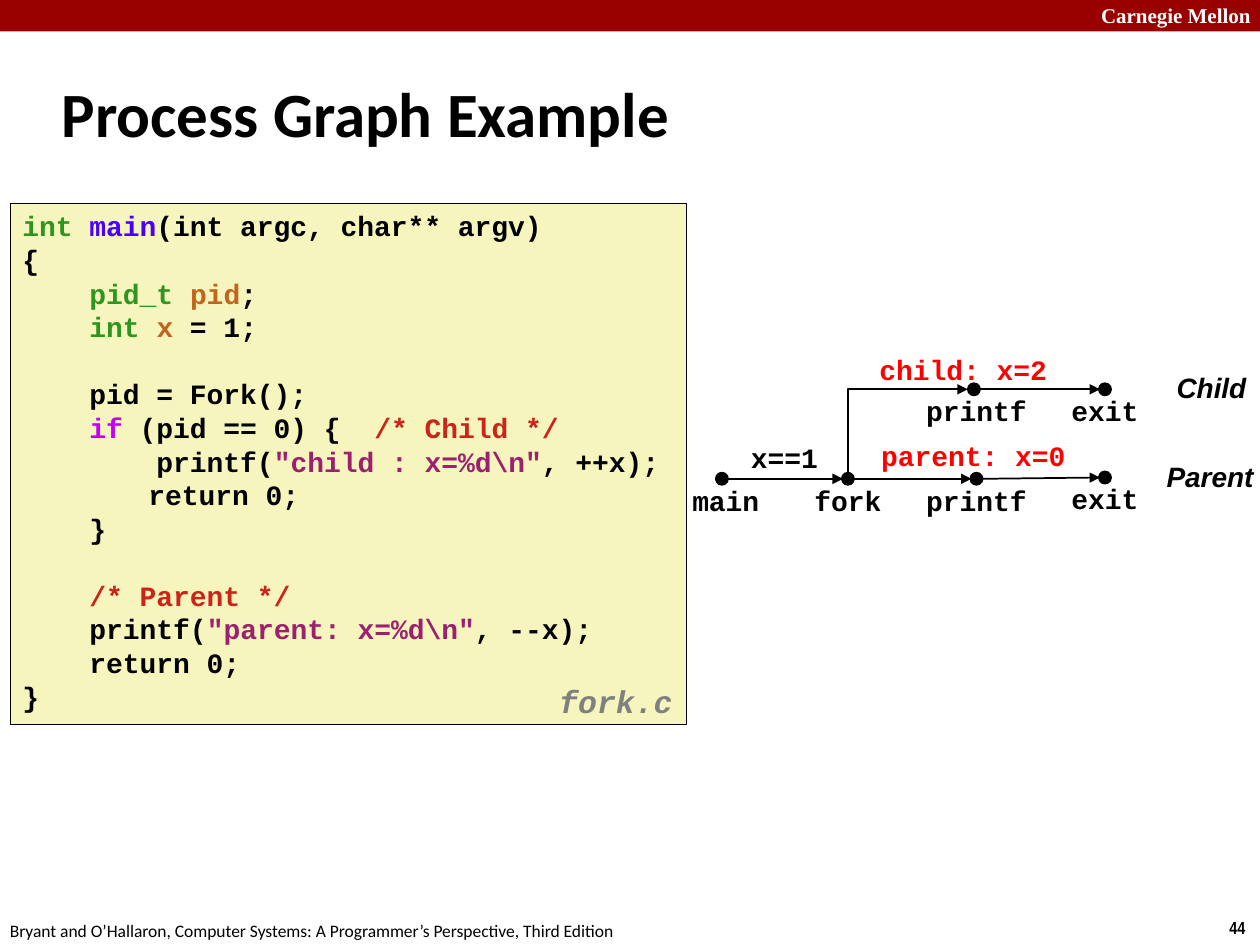
from typing import NamedTuple

from lxml.etree import SubElement
from pptx import Presentation
from pptx.dml.color import RGBColor
from pptx.enum.shapes import MSO_CONNECTOR as Link, MSO_SHAPE as Preset
from pptx.enum.text import MSO_ANCHOR as Anchor, MSO_AUTO_SIZE as Fit, PP_ALIGN as Align
from pptx.oxml.ns import qn
from pptx.util import Inches, Pt


class Theme:
    banner, paper = "990000", "F6F5BD"
    ink, light, muted, value = "000000", "FFFFFF", "808080", "FF0000"
    type_name, function, variable = "2D961E", "4A00FF", "C1651C"
    keyword, comment, string = "C200FF", "CB2418", "9D206F"
    title_size, file_size, code_size, brand_size, footer_size = 36, 18, 16, 12, 10
    mono, sans, body, serif, narrow = (
        "Courier New", "Arial", "Calibri", "Times New Roman", "Arial Narrow")
    leading = 1.2


class Style(NamedTuple):
    font: str = Theme.mono
    size: float = Theme.code_size
    color: str = Theme.ink
    bold: bool = True
    italic: bool = False


class Area(NamedTuple):
    column: float
    row: float
    columns: float
    rows: float


class Label(NamedTuple):
    text: str
    area: Area
    style: Style = Style()
    align: Align = Align.LEFT
    wrap: bool = False


class Node(NamedTuple):
    name: str
    column: float
    row: float
    label_shift: float = 0


class Token(NamedTuple):
    text: str
    color: str = Theme.ink


SLIDE_WIDTH, SLIDE_HEIGHT = Inches(10), Inches(7.5)
COLUMN, ROW = SLIDE_WIDTH / 100, SLIDE_HEIGHT / 75
DOT = 1
ARROW_GAP = 0.4
VALUE = Style(color=Theme.value)
BRANCH = Style(Theme.sans, italic=True)

MAIN = Node("main", 57.3, 38, 0.3)
FORK = Node("fork", 67.3, 38)
PARENT_PRINT = Node("printf", 77.5, 38)
PARENT_EXIT = Node("exit", 87.7, 37.9)
CHILD_PRINT = Node("printf", 77.3, 30.9, 0.2)
CHILD_EXIT = Node("exit", 87.7, 30.9)
NODES = (MAIN, FORK, PARENT_PRINT, PARENT_EXIT, CHILD_PRINT, CHILD_EXIT)
STEPS = ((MAIN, FORK), (FORK, PARENT_PRINT), (PARENT_PRINT, PARENT_EXIT),
         (CHILD_PRINT, CHILD_EXIT))

LABELS = (
    Label("Carnegie Mellon", Area(86.4, -0.3, 14.3, 3),
          Style(Theme.serif, Theme.brand_size, Theme.light), wrap=True),
    Label("44", Area(96.6, 72.3, 3.4, 2.7), Style(Theme.narrow, Theme.footer_size)),
    Label("Bryant and O’Hallaron, Computer Systems: A Programmer’s Perspective, Third Edition",
          Area(-0.2, 72.5, 50.8, 2.7), Style(Theme.body, Theme.footer_size, bold=False)),
    Label("child: x=2", Area(66.4, 27.5, 20.1, 3.7), VALUE, Align.CENTER, True),
    Label("parent: x=0", Area(67.2, 34.3, 20.1, 3.7), VALUE, Align.CENTER, True),
    Label("x==1", Area(57.9, 34.5, 8.7, 3.7), align=Align.CENTER, wrap=True),
    Label("Child", Area(92.4, 28.9, 7.7, 3.7), BRANCH),
    Label("Parent", Area(91.6, 36, 9.2, 3.7), BRANCH),
    Label("fork.c", Area(43.4, 53.6, 11.7, 3.9),
          Style(size=Theme.file_size, color=Theme.muted, italic=True)),
)

CODE = (
    (Token("int ", Theme.type_name), Token("main", Theme.function),
     Token("(int argc, char** argv)")),
    (Token("{"),),
    (Token("    pid_t ", Theme.type_name), Token("pid", Theme.variable), Token(";")),
    (Token("    int ", Theme.type_name), Token("x", Theme.variable), Token(" = 1;")),
    (),
    (Token("    pid = Fork();"),),
    (Token("    if", Theme.keyword), Token(" (pid == 0) {  "),
     Token("/* Child */", Theme.comment)),
    (Token("        printf("), Token('"child : x=%d\\n"', Theme.string), Token(", ++x);")),
    (Token("\treturn 0;"),),
    (Token("    }"),),
    (),
    (Token("    /* Parent */", Theme.comment),),
    (Token("    printf("), Token('"parent: x=%d\\n"', Theme.string), Token(", --x);")),
    (Token("    return 0;"),),
    (Token("}"),),
)


def place(area: Area) -> tuple[int, int, int, int]:
    return (round(area.column * COLUMN), round(area.row * ROW),
            round(area.columns * COLUMN), round(area.rows * ROW))


def write(paragraph, text: str, style: Style) -> None:
    run = paragraph.add_run()
    run.text = text
    font = run.font
    font.name, font.size = style.font, Pt(style.size)
    font.bold, font.italic = style.bold, style.italic
    font.color.rgb = RGBColor.from_string(style.color)
    if style.font == Theme.mono:
        paragraph.line_spacing = Pt(style.size * Theme.leading)


def draw_shape(slide, preset: Preset, area: Area, fill: str, outline: float = 0):
    shape = slide.shapes.add_shape(preset, *place(area))
    shape.shadow.inherit = False
    shape.fill.solid()
    shape.fill.fore_color.rgb = RGBColor.from_string(fill)
    if outline:
        shape.line.color.rgb = RGBColor.from_string(Theme.ink)
        shape.line.width = Pt(outline)
    else:
        shape.line.fill.background()
    return shape


def draw_label(slide, label: Label) -> None:
    frame = slide.shapes.add_textbox(*place(label.area)).text_frame
    frame.word_wrap = label.wrap
    paragraph = frame.paragraphs[0]
    paragraph.alignment = label.align
    write(paragraph, label.text, label.style)


def draw_code(slide) -> None:
    frame = draw_shape(slide, Preset.RECTANGLE, Area(0.8, 16.1, 53.7, 41.4),
                       Theme.paper, 0.25).text_frame
    frame.word_wrap, frame.vertical_anchor = False, Anchor.TOP
    paragraph, skipped = frame.paragraphs[0], False
    for number, tokens in enumerate(CODE):
        if not tokens:
            skipped = True
            continue
        if number:
            paragraph = frame.add_paragraph()
        paragraph.alignment = Align.LEFT
        if skipped:
            paragraph.space_before = Pt(Theme.code_size * Theme.leading)
            skipped = False
        for token in tokens:
            write(paragraph, token.text, Style(color=token.color))
        if tokens[0].text.startswith("\t"):
            stops = SubElement(paragraph._p.get_or_add_pPr(), qn("a:tabLst"))
            SubElement(stops, qn("a:tab"), pos=str(Inches(1)), algn="l")


def draw_node(slide, node: Node) -> None:
    draw_shape(slide, Preset.OVAL,
               Area(node.column - DOT / 2, node.row - DOT / 2, DOT, DOT), Theme.ink, 0.75)
    width = 10.4
    left = node.column + node.label_shift - width / 2
    draw_label(slide, Label(node.name, Area(left, node.row - 0.15, width, 3.7),
                            align=Align.CENTER, wrap=True))


def draw_arrow(slide, kind: Link, start: tuple[float, float], end: tuple[float, float]):
    ends = [round(value * unit) for point in (start, end)
            for value, unit in zip(point, (COLUMN, ROW))]
    arrow = slide.shapes.add_connector(kind, *ends)
    arrow.line.color.rgb = RGBColor.from_string(Theme.ink)
    arrow.line.width = Pt(1)
    SubElement(arrow.line._get_or_add_ln(), qn("a:tailEnd"), type="triangle")
    SubElement(arrow._element.spPr, qn("a:effectLst"))
    return arrow


def draw_fork_branch(slide) -> None:
    end_column = CHILD_PRINT.column - DOT / 2
    across, up = end_column - FORK.column, FORK.row - CHILD_PRINT.row
    middle, center = (FORK.column + end_column) / 2, (FORK.row + CHILD_PRINT.row) / 2
    branch = draw_arrow(slide, Link.ELBOW, (middle + up / 2, center + across / 2),
                        (middle - up / 2, center - across / 2))
    properties = branch._element.spPr
    properties.find(qn("a:xfrm")).set("rot", str(90 * 60000))
    properties.find(qn("a:prstGeom")).set("prst", "bentConnector2")


def main() -> None:
    deck = Presentation()
    deck.slide_width, deck.slide_height = SLIDE_WIDTH, SLIDE_HEIGHT
    slide = deck.slides.add_slide(deck.slide_layouts[5])
    draw_shape(slide, Preset.RECTANGLE, Area(0, 0, 100, 2.5), Theme.banner)
    title = slide.shapes.title
    title.left, title.top, title.width, title.height = place(Area(3.9, 4.8, 83, 8.3))
    title.text_frame.auto_size = Fit.NONE
    title.text_frame.vertical_anchor = Anchor.MIDDLE
    heading = title.text_frame.paragraphs[0]
    heading.alignment = Align.LEFT
    write(heading, "Process Graph Example", Style(Theme.body, Theme.title_size))
    draw_code(slide)
    for before, after in STEPS:
        draw_arrow(slide, Link.STRAIGHT, (before.column + DOT / 2, before.row),
                   (after.column - ARROW_GAP, after.row))
    draw_fork_branch(slide)
    for node in NODES:
        draw_node(slide, node)
    for label in LABELS:
        draw_label(slide, label)
    deck.save("out.pptx")


if __name__ == "__main__":
    main()
